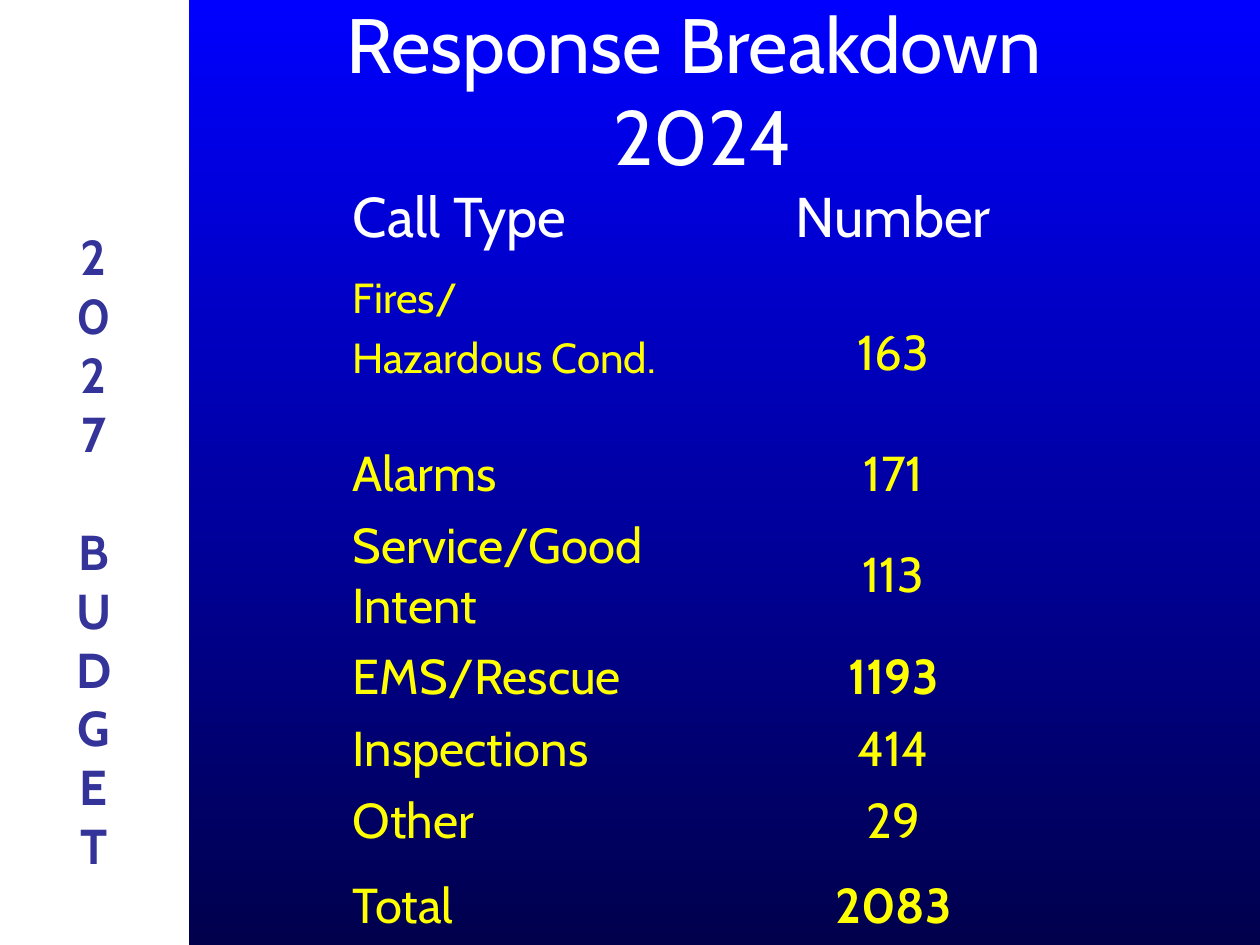
from pptx import Presentation
from pptx.dml.color import RGBColor
from pptx.enum.shapes import MSO_SHAPE
from pptx.enum.text import MSO_ANCHOR, PP_ALIGN
from pptx.oxml.ns import qn
from pptx.util import Inches, Pt

COLORS = {"white": "FFFFFF", "yellow": "FFFF00", "indigo": "333399",
          "top": "0000FF", "bottom": "00004D"}
FONT = "Cabin"
NO_GRID = "{2D5ABB26-0587-4C30-8999-92F81FD0307C}"
INSETS = {"margin_left": Inches(0.2), "margin_right": Inches(0.1),
          "margin_top": Inches(0.05), "margin_bottom": Inches(0.05)}


def rgb(name):
    return RGBColor.from_string(COLORS[name])


class SlideBuilder:
    def __init__(self, prs):
        self.slide = prs.slides.add_slide(prs.slide_layouts[6])

    def background(self):
        fill = self.slide.background.fill
        fill.gradient()
        fill.gradient_angle = 270
        for stop, name in zip(fill.gradient_stops, ("top", "bottom")):
            stop.color.rgb = rgb(name)

    def panel(self, box, color):
        panel = self.slide.shapes.add_shape(MSO_SHAPE.RECTANGLE, *map(Inches, box))
        panel.shadow.inherit = False
        panel.fill.solid()
        panel.fill.fore_color.rgb = rgb(color)
        panel.line.fill.background()

    def fill_lines(self, frame, lines, size, color, bold=False,
                   align=PP_ALIGN.CENTER, gap=0):
        formats = {"name": FONT, "size": Pt(size), "bold": bold}
        for i, line in enumerate(lines):
            paragraph = frame.add_paragraph() if i else frame.paragraphs[0]
            paragraph.text = line
            paragraph.alignment = align
            paragraph.space_before = Pt(gap if i else 0)
            for run in paragraph.runs:
                for key, value in formats.items():
                    setattr(run.font, key, value)
                run.font.color.rgb = rgb(color)

    def text(self, box, lines, size, color, bold=False, anchor=MSO_ANCHOR.TOP):
        frame = self.slide.shapes.add_textbox(*map(Inches, box)).text_frame
        frame.word_wrap = True
        frame.vertical_anchor = anchor
        self.fill_lines(frame, lines, size, color, bold)
        return frame

    def table(self, left, top, widths, heights, rows):
        table = self.slide.shapes.add_table(
            len(rows), len(widths), Inches(left), Inches(top),
            Inches(sum(widths)), Inches(sum(heights))).table
        table.first_row = table.horz_banding = False
        table._tbl.tblPr.find(qn("a:tableStyleId")).text = NO_GRID
        for column, width in zip(table.columns, widths):
            column.width = Inches(width)
        for r, (height, (color, *cells)) in enumerate(zip(heights, rows)):
            table.rows[r].height = Inches(height)
            for c, (content, size, bold) in enumerate(cells):
                cell = table.cell(r, c)
                lines = content.split("\n")
                cell.fill.background()
                # Two-line call types sit at the top of their tall row
                cell.vertical_anchor = (MSO_ANCHOR.TOP if len(lines) > 1
                                        else MSO_ANCHOR.MIDDLE)
                for key, value in INSETS.items():
                    setattr(cell, key, value)
                self.fill_lines(cell.text_frame, lines, size, color, bold,
                                PP_ALIGN.CENTER if c else PP_ALIGN.LEFT, size * 0.2)


def main():
    prs = Presentation()
    prs.slide_width, prs.slide_height = Inches(10), Inches(7.5)
    builder = SlideBuilder(prs)
    builder.background()

    # Side panel with the vertical label
    builder.panel((0, 0, 1.5, 7.5), "white")
    year, word = "2027", "BUDGET"
    label = builder.text((0.33, 1.75, 0.83, 5.7), year + word, 28, "indigo", True)
    label.paragraphs[len(year)].space_before = Pt(34)

    # Call counts
    calls = [("Alarms", "171"), ("Service/Good Intent", "113"),
             ("EMS/Rescue", "1193"), ("Inspections", "414"),
             ("Other", "29"), ("Total", "2083")]
    rows = [("white", ("Call Type", 32, False), ("Number", 32, False)),
            ("yellow", ("Fires/\nHazardous Cond.", 24, False), ("163", 28, False))]
    rows += [("yellow", (kind, 28, False), (number, 28, int(number) > 1000))
             for kind, number in calls]
    heights = [0.79, 1.36, 0.57, 1.03, 0.57, 0.58, 0.57, 0.78]
    builder.table(2.6, 1.33, [3.05, 2.78], heights, rows)

    # Title
    builder.text((1.58, 0.08, 8, 1.25), ["Response Breakdown \v2024"], 44,
                 "white", anchor=MSO_ANCHOR.MIDDLE)
    prs.save("out.pptx")


if __name__ == "__main__":
    main()
